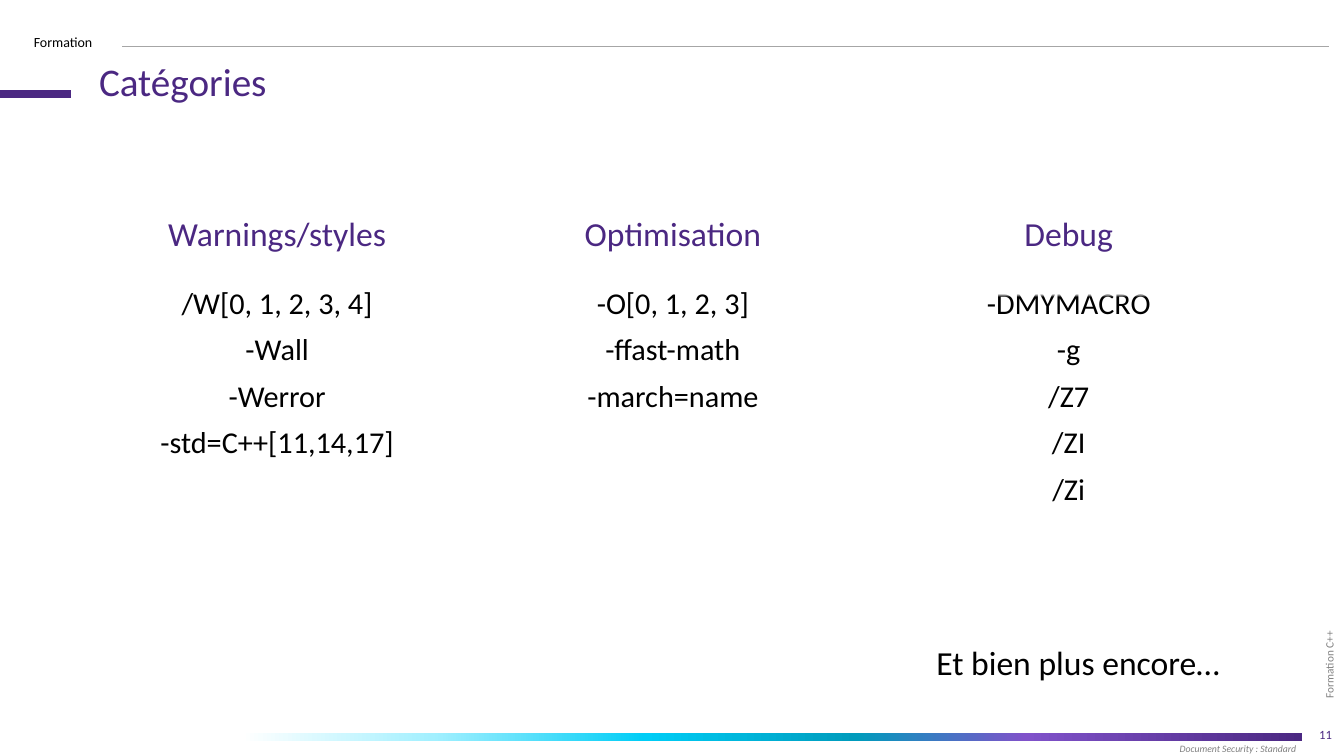
from pptx import Presentation
from pptx.dml.color import RGBColor
from pptx.enum.shapes import MSO_CONNECTOR as CONN, MSO_SHAPE as SHAPE
from pptx.enum.text import MSO_ANCHOR as ANCHOR, PP_ALIGN as ALIGN
from pptx.oxml.ns import qn
from pptx.util import Cm, Pt
from lxml import etree

PURPLE = RGBColor(0x4B, 0x28, 0x82)
BLACK = RGBColor(0, 0, 0)
WHITE = RGBColor(255, 255, 255)
GREY = RGBColor(0x80, 0x80, 0x80)
RULE_GREY = RGBColor(0xA6, 0xA6, 0xA6)
BAR_STOPS = [
    (0, WHITE),
    (18, RGBColor(0xA3, 0xF0, 0xFF)),
    (38, RGBColor(0x00, 0xCD, 0xF6)),
    (58, RGBColor(0x00, 0x9B, 0xBC)),
    (74, RGBColor(0x80, 0x52, 0xCA)),
    (100, PURPLE),
]

prs = Presentation()
prs.slide_width, prs.slide_height = Cm(28.22), Cm(15.88)
s = prs.slides.add_slide(prs.slide_layouts[6])


def add_text(box, lines, size, color, align=ALIGN.LEFT, anchor=ANCHOR.TOP,
             margins=(0.25, 0.13), spacing=None, before=0, italic=False, opacity=None):
    """Add a text box; box is left, top, width, height in cm, opacity a white fill in percent."""
    sp = s.shapes.add_textbox(*[Cm(v) for v in box])
    if opacity is not None:
        sp.fill.solid()
        sp.fill.fore_color.rgb = WHITE
        clr = sp._element.spPr.find(".//" + qn("a:srgbClr"))
        etree.SubElement(clr, qn("a:alpha"), val=str(opacity * 1000))
    tf = sp.text_frame
    tf.text = "\n".join(lines)
    tf.word_wrap = True
    tf.vertical_anchor = anchor
    tf.margin_left = tf.margin_right = Cm(margins[0])
    tf.margin_top = tf.margin_bottom = Cm(margins[1])
    for p in tf.paragraphs:
        p.alignment = align
        p.line_spacing = spacing
        p.space_before = Pt(before)
        for r in p.runs:
            r.font.name = "Calibri"
            r.font.size = Pt(size)
            r.font.color.rgb = color
            r.font.italic = italic
    return sp


def add_line(x1, x2, y, color, width):
    line = s.shapes.add_connector(CONN.STRAIGHT, Cm(x1), Cm(y), Cm(x2), Cm(y))
    line.line.color.rgb = color
    line.line.width = Pt(width)
    etree.SubElement(line._element.spPr, qn("a:effectLst"))


# Footer
side = add_text((25.2, 11.81, 5.36, 0.76), ["Formation C++"], 6.7, GREY,
                anchor=ANCHOR.MIDDLE, margins=(0.2, 0.2), spacing=1.2)
side.rotation = 270
add_text((21.82, 15.01, 6.35, 0.84), ["11"], 7.5, PURPLE, ALIGN.RIGHT,
         ANCHOR.MIDDLE, margins=(0.2, 0.1))
add_text((24.69, 15.52, 2.8, 0.41), ["Document Security : Standard"], 5.8, GREY,
         anchor=ANCHOR.MIDDLE, margins=(0.08, 0.08), italic=True)

bar = s.shapes.add_shape(SHAPE.RECTANGLE, Cm(5.08), Cm(15.39), Cm(22.25), Cm(0.18))
bar.shadow.inherit = False
bar.line.fill.background()
bar.fill.gradient()
bar.fill.gradient_angle = 0
stops = bar._element.spPr.find(".//" + qn("a:gsLst"))
for old in list(stops):
    stops.remove(old)
for pos, color in BAR_STOPS:
    stop = etree.SubElement(stops, qn("a:gs"), pos=str(pos * 1000))
    etree.SubElement(stop, qn("a:srgbClr"), val=str(color))

# Header
add_text((0.46, 0.58, 4.04, 0.61), ["Formation"], 8.3, BLACK)
add_line(2.57, 27.91, 0.97, RULE_GREY, 0.5)
add_line(0, 1.5, 1.98, PURPLE, 4.5)
add_text((1.83, 1.19, 11.81, 0.76), ["Catégories"], 23.3, PURPLE, spacing=0.9)

# Columns of compiler options: all bodies lie above the headings except the last
columns = [
    ("Warnings/styles", ["/W[0, 1, 2, 3, 4]", "-Wall", "-Werror", "-std=C++[11,14,17]"]),
    ("Optimisation", ["-O[0, 1, 2, 3]", "-ffast-math", "-march=name"]),
    ("Debug", ["-DMYMACRO", "-g", "/Z7", "/ZI", "/Zi"]),
]
for i, (heading, options) in enumerate(columns):
    left = 2.16 + i * 8.31
    parts = [
        ((left, 4.43, 7.32, 1.8), [heading], 20, PURPLE, 48),
        ((left, 5.92, 7.32, 6.6), options, 18, BLACK, 74),
    ]
    if heading == "Debug":
        parts.reverse()
    for box, lines, size, color, opacity in parts:
        add_text(box, lines, size, color, ALIGN.CENTER, spacing=0.9, before=8.3,
                 opacity=opacity)

add_text((19.41, 13.36, 6.78, 1.12), ["Et bien plus encore…"], 20, BLACK)

prs.save("out.pptx")
